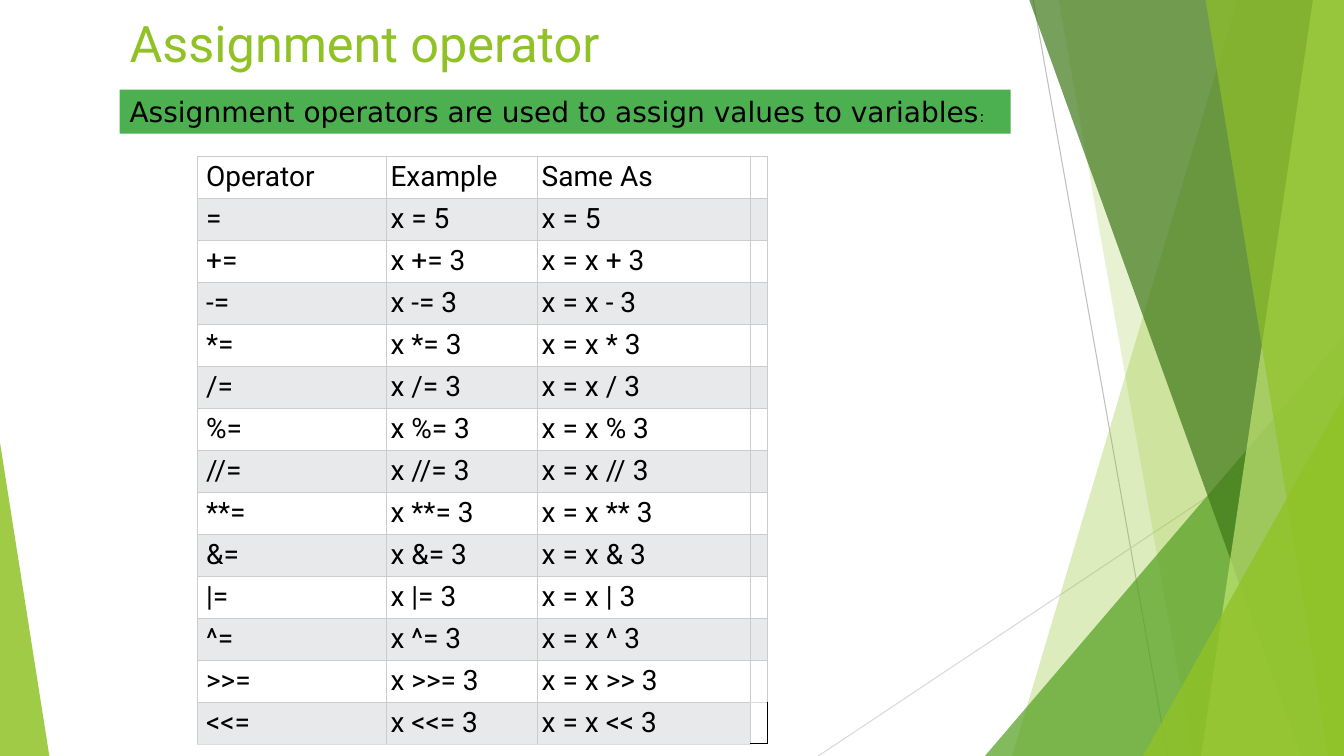
from lxml.etree import SubElement
from pptx import Presentation
from pptx.dml.color import RGBColor
from pptx.enum.shapes import MSO_CONNECTOR as CONNECTOR, MSO_SHAPE as SHAPE
from pptx.enum.text import MSO_ANCHOR as ANCHOR, PP_ALIGN as ALIGN
from pptx.oxml.ns import qn
from pptx.util import Pt

WIDTH, HEIGHT = 960, 540
BLACK = RGBColor(0x00, 0x00, 0x00)
WHITE = RGBColor(0xFF, 0xFF, 0xFF)
ROW_GRAY = RGBColor(0xE7, 0xE9, 0xEB)
BORDER_GRAY = RGBColor(0xCC, 0xCC, 0xCC)
BOTTOM_GRAY = RGBColor(0xDD, 0xDD, 0xDD)
DARK_RAY = RGBColor(0xBF, 0xBF, 0xBF)
LIGHT_RAY = RGBColor(0xD9, 0xD9, 0xD9)
LIME = RGBColor(0x90, 0xC2, 0x26)
PALE_LIME = RGBColor(0xC0, 0xE4, 0x74)
GREEN = RGBColor(0x54, 0xA0, 0x21)
DARK_GREEN = RGBColor(0x3F, 0x78, 0x19)
BANNER_GREEN = RGBColor(0x4C, 0xAF, 0x50)

HEADINGS = ["Operator", "Example", "Same As"]
SYMBOLS = ["+", "-", "*", "/", "%", "//", "**", "&", "|", "^", ">>", "<<"]
COLUMN_WIDTHS = [135, 108, 152, 12]


def paint(shape, color, opacity=100):
    shape.shadow.inherit = False
    shape.line.fill.background()
    shape.fill.solid()
    shape.fill.fore_color.rgb = color
    if opacity < 100:
        color_element = shape.fill._xPr.find(".//" + qn("a:srgbClr"))
        SubElement(color_element, qn("a:alpha"), val=str(opacity * 1000))


def style(font, name, size, color):
    font.name, font.size = name, Pt(size)
    font.color.rgb = color


def add_ray(slide, start, end, color):
    ray = slide.shapes.add_connector(CONNECTOR.STRAIGHT, *map(Pt, start + end))
    ray.line.color.rgb = color
    ray.line.width = Pt(0.75)
    SubElement(ray._element.spPr, qn("a:effectLst"))


def add_triangle(slide, box, apex, color, opacity):
    triangle = slide.shapes.add_shape(SHAPE.ISOSCELES_TRIANGLE, *map(Pt, box))
    triangle.adjustments[0] = apex
    paint(triangle, color, opacity)


def add_right_facets(slide, left, top, width, height):
    right, bottom = left + width, top + height

    def add_band(top_inset, bottom_inset, color, opacity):
        upper = Pt(top - 0.75)
        builder = slide.shapes.build_freeform(Pt(right - top_inset), upper)
        builder.add_line_segments([
            (Pt(right), upper),
            (Pt(right), Pt(bottom)),
            (Pt(right - bottom_inset), Pt(bottom)),
        ])
        paint(builder.convert_to_shape(), color, opacity)

    def add_corner(base, rise, color, opacity):
        add_triangle(slide, (right - base, bottom - rise, base, rise), 1, color, opacity)

    add_ray(slide, (right - 222, top), (right - 126, bottom), DARK_RAY)
    add_ray(slide, (right, top + 290), (left, bottom), LIGHT_RAY)
    add_band(76, 237, LIME, 30)
    add_band(204, 108, LIME, 20)
    add_corner(256.5, 300, GREEN, 72)
    add_band(225, 30.5, DARK_GREEN, 70)
    add_band(22, 102, PALE_LIME, 70)
    add_band(99, 11, LIME, 65)
    add_corner(143.5, 257, LIME, 80)


def add_title(slide, left, top, width, height):
    title = slide.shapes.add_textbox(Pt(left), Pt(top), Pt(width), Pt(height))
    title.text_frame.word_wrap = True
    paragraph = title.text_frame.paragraphs[0]
    paragraph.text = "Assignment operator"
    style(paragraph.font, "Roboto", 36, LIME)


def add_banner(slide, left, top, width, height):
    banner = slide.shapes.add_shape(SHAPE.RECTANGLE, Pt(left), Pt(top), Pt(width), Pt(height))
    paint(banner, BANNER_GREEN)
    frame = banner.text_frame
    frame.word_wrap = True
    frame.vertical_anchor = ANCHOR.MIDDLE
    paragraph = frame.paragraphs[0]
    paragraph.alignment = ALIGN.LEFT
    statement = "Assignment operators are used to assign values to variables"
    for text, size in [(statement, 20), (":", 11)]:
        run = paragraph.add_run()
        run.text = text
        style(run.font, "DejaVu Sans", size, BLACK)


def set_borders(cell, left, right, top, bottom):
    properties = cell._tc.get_or_add_tcPr()
    for side, (color, width) in zip("LRTB", (left, right, top, bottom)):
        line = SubElement(properties, qn("a:ln" + side), w=str(Pt(width)))
        fill = SubElement(line, qn("a:solidFill"))
        SubElement(fill, qn("a:srgbClr"), val=str(color))


def add_operator_table(slide, left, top, width, height):
    rows = [HEADINGS, ["=", "x = 5", "x = 5"]]
    rows += [[f"{symbol}=", f"x {symbol}= 3", f"x = x {symbol} 3"] for symbol in SYMBOLS]
    frame = slide.shapes.add_table(
        len(rows), len(COLUMN_WIDTHS), Pt(left), Pt(top), Pt(width), Pt(height))
    table = frame.table
    table.first_row = table.horz_banding = False
    for column, share in zip(table.columns, COLUMN_WIDTHS):
        column.width = Pt(width * share / sum(COLUMN_WIDTHS))
    gray, pale, black = (BORDER_GRAY, 0.6), (BOTTOM_GRAY, 0.6), (BLACK, 1)
    last_row = len(rows) - 1
    for row_index, texts in enumerate(rows):
        table.rows[row_index].height = Pt(height / len(rows))
        for column_index, text in enumerate(texts + [""]):
            cell = table.cell(row_index, column_index)
            cell.margin_left = Pt(6.25 if column_index == 0 else 3)
            cell.margin_right = cell.margin_top = cell.margin_bottom = Pt(3)
            paragraph = cell.text_frame.paragraphs[0]
            paragraph.text = text
            style(paragraph.font, "Roboto", 20, BLACK)
            if row_index == last_row and not text:
                set_borders(cell, gray, black, pale, black)
                cell.fill.background()
                continue
            set_borders(cell, gray, gray, gray, pale if row_index == last_row else gray)
            cell.fill.solid()
            cell.fill.fore_color.rgb = ROW_GRAY if row_index % 2 else WHITE


def main():
    presentation = Presentation()
    presentation.slide_width, presentation.slide_height = Pt(WIDTH), Pt(HEIGHT)
    slide = presentation.slides.add_slide(presentation.slide_layouts[6])
    add_right_facets(slide, 584.5, 0, 375.5, HEIGHT)
    add_triangle(slide, (0, 316, 35.25, 224), 0, LIME, 85)
    add_title(slide, 85.5, 5, 801.5, 117.5)
    add_operator_table(slide, 141, 111.5, 407, 416.5)
    add_banner(slide, 85.5, 64, 636.5, 31.5)
    presentation.save("out.pptx")


if __name__ == "__main__":
    main()
